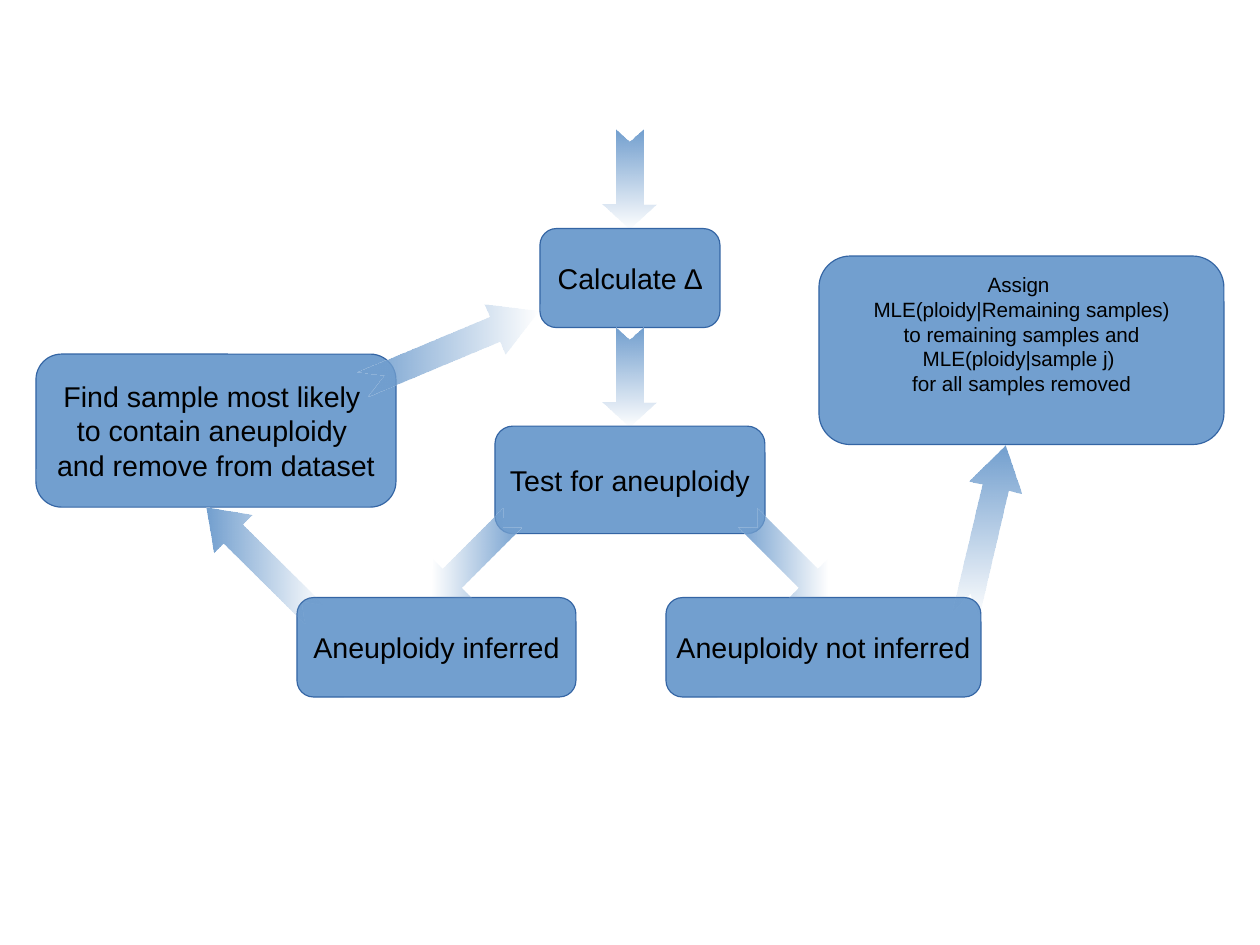
import math
from dataclasses import dataclass

import pptx
import pptx.dml.color
import pptx.enum.shapes
import pptx.enum.text
import pptx.util
from lxml import etree
from pptx.oxml.ns import qn

BOXES = [
    # text, (left, top, width, height) in cm, size key, bottom inset in cm
    ("Test for aneuploidy", (11, 9.47, 6, 2.39), "large", 0.13),
    ("Aneuploidy inferred", (6.6, 13.28, 6.2, 2.21), "large", 0.13),
    ("Aneuploidy not inferred", (14.8, 13.28, 7, 2.21), "large", 0.13),
    ("Find sample most likely \nto contain aneuploidy \nand remove from dataset",
     (0.8, 7.87, 8, 3.4), "large", 0.13),
    ("Calculate ∆", (12, 5.08, 4, 2.2), "large", 0.13),
    ("Assign \nMLE(ploidy|Remaining samples)\nto remaining samples and\n"
     "MLE(ploidy|sample j) \nfor all samples removed",
     (18.2, 5.69, 9, 4.19), "small", 0.86),
]
RIGHT, LEFT, DOWN = 0, 180, 270
ARROWS = [
    # tail, tip in cm, direction of the fade
    ((14, 7.28), (14, 9.47), DOWN),
    ((16.62, 11.51), (18.39, 13.28), RIGHT),
    ((11.38, 11.51), (9.61, 13.28), LEFT),
    ((6.98, 13.65), (4.6, 11.27), RIGHT),
    ((8.06, 8.53), (11.96, 6.91), RIGHT),
    ((21.45, 13.65), (22.33, 9.91), DOWN),
    ((14, 2.88), (14, 5.08), DOWN),
]


@dataclass
class Theme:
    """Colours, font and type sizes of the slide."""
    fill: str = "729FCF"
    line: str = "3465A4"
    text: str = "000000"
    font: str = "Arial"
    large: int = 18
    small: int = 13
    arrow: float = 1.2


THEME = Theme()
Cm = pptx.util.Cm


def color(code):
    """Turn a hex code into a colour."""
    return pptx.dml.color.RGBColor.from_string(code)


def add_box(slide, text, place, size, inset):
    """Add a rounded box with centred text."""
    kind = pptx.enum.shapes.MSO_SHAPE.ROUNDED_RECTANGLE
    box = slide.shapes.add_shape(kind, *map(Cm, place))
    box.shadow.inherit = False
    box.fill.solid()
    box.fill.fore_color.rgb = color(THEME.fill)
    box.line.color.rgb = color(THEME.line)
    box.line.width = 0
    frame = box.text_frame
    frame.text = text
    frame.word_wrap = False
    frame.vertical_anchor = pptx.enum.text.MSO_ANCHOR.MIDDLE
    frame.margin_bottom = Cm(inset)
    for para in frame.paragraphs:
        para.alignment = pptx.enum.text.PP_ALIGN.CENTER
        for run in para.runs:
            run.font.name = THEME.font
            run.font.size = pptx.util.Pt(getattr(THEME, size))
            run.font.color.rgb = color(THEME.text)


def outline(tail, tip):
    """Return the corners of a notched arrow from tail to tip."""
    span = math.dist(tail, tip)
    ux, uy = (tip[0] - tail[0]) / span, (tip[1] - tail[1]) / span
    neck, half = span * 3 / 4, THEME.arrow / 2
    marks = [(0, half / 2), (neck, half / 2), (neck, half), (span, 0),
             (neck, -half), (neck, -half / 2), (0, -half / 2), (span / 8, 0)]
    return [(Cm(tail[0] + a * ux - b * uy), Cm(tail[1] + a * uy + b * ux))
            for a, b in marks]


def add_arrow(slide, tail, tip, angle):
    """Add a notched arrow that fades out along the given angle."""
    start, *rest = outline(tail, tip)
    pen = slide.shapes.build_freeform(*start)
    pen.add_line_segments(rest, close=True)
    arrow = pen.convert_to_shape()
    arrow.shadow.inherit = False
    arrow.line.fill.background()
    arrow.fill.gradient()
    arrow.fill.gradient_angle = angle
    for stop in arrow.fill.gradient_stops:
        stop.color.rgb = color(THEME.fill)
    last = list(arrow.element.spPr.iter(qn("a:srgbClr")))[-1]
    etree.SubElement(last, qn("a:alpha")).set("val", "0")


def main():
    """Build and save the slide."""
    deck = pptx.Presentation()
    deck.slide_width, deck.slide_height = Cm(28), Cm(21)
    slide = deck.slides.add_slide(deck.slide_layouts[6])
    for box in BOXES:
        add_box(slide, *box)
    for arrow in ARROWS:
        add_arrow(slide, *arrow)
    deck.save("out.pptx")


if __name__ == "__main__":
    main()
